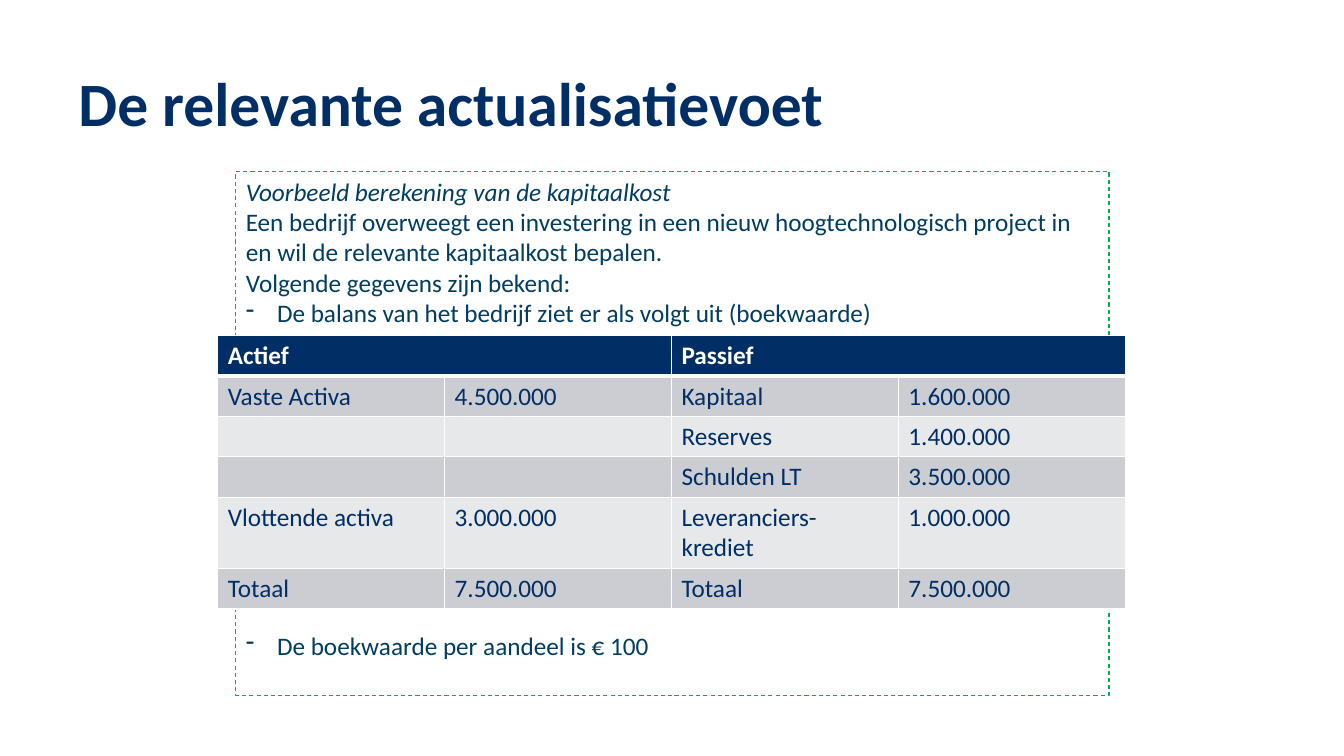
from lxml import etree
from pptx import Presentation
from pptx.dml.color import RGBColor
from pptx.enum.dml import MSO_LINE
from pptx.enum.shapes import MSO_SHAPE
from pptx.enum.text import MSO_ANCHOR, PP_ALIGN
from pptx.oxml.ns import qn
from pptx.util import Inches, Pt

RECTANGLE = MSO_SHAPE.RECTANGLE
DASH = MSO_LINE.DASH
TOP = MSO_ANCHOR.TOP
LEFT = PP_ALIGN.LEFT

NAVY, TEAL, GREEN, WHITE = "002E65", "003D62", "00B050", "FFFFFF"
BANDS = ["CCCDD3", "E7E8EA"]
COLUMN_WIDTH, ROW_HEIGHT, TALL_ROW_HEIGHT = 2.25, 0.4, 0.71
BULLET_INDENT = 0.31
TABLE_GAP = 216
LINE_PITCH = 21.6

TITLE = "De relevante actualisatievoet"
EXAMPLE = [
    ("Voorbeeld berekening van de kapitaalkost", {"italic": True}, False, 0),
    ("Een bedrijf overweegt een investering in een nieuw hoogtechnologisch project in "
     "en wil de relevante kapitaalkost bepalen.", {}, False, 0),
    ("Volgende gegevens zijn bekend:", {}, False, 0),
    ("De balans van het bedrijf ziet er als volgt uit (boekwaarde)", {}, True, 0),
    ("De boekwaarde per aandeel is € 100", {}, True, TABLE_GAP),
]
BALANCE = [
    ["Actief", "", "Passief", ""],
    ["Vaste Activa", "4.500.000", "Kapitaal", "1.600.000"],
    ["", "", "Reserves", "1.400.000"],
    ["", "", "Schulden LT", "3.500.000"],
    ["Vlottende activa", "3.000.000", "Leveranciers-krediet", "1.000.000"],
    ["Totaal", "7.500.000", "Totaal", "7.500.000"],
]
TALL_ROW = 4


def color(value):
    return RGBColor.from_string(value)


def inches(*lengths):
    return [Inches(length) for length in lengths]


def write(para, text, size, hue, **formats):
    span = para.add_run()
    span.text = text
    span.font.color.rgb = color(hue)
    for name, value in {"name": "Calibri", "size": Pt(size), **formats}.items():
        setattr(span.font, name, value)


def add_dash_bullet(para):
    props = para._p.get_or_add_pPr()
    indent = Inches(BULLET_INDENT)
    props.set("marL", str(indent))
    props.set("indent", str(-indent))
    bullet_color = etree.SubElement(props, qn("a:buClr"))
    etree.SubElement(bullet_color, qn("a:srgbClr"), val=TEAL)
    etree.SubElement(props, qn("a:buFontTx"))
    etree.SubElement(props, qn("a:buChar"), char="-")


def add_title(page):
    box = page.shapes.add_textbox(*inches(0.68, 0.68, 11.96, 1.17))
    box.text_frame.word_wrap = True
    para = box.text_frame.paragraphs[0]
    para.line_spacing = 0.9
    write(para, TITLE, 44, NAVY, bold=True)


def add_example(page):
    box = page.shapes.add_shape(RECTANGLE, *inches(2.34, 1.7, 8.66, 5.2))
    box.shadow.inherit = False
    box.fill.background()
    box.line.color.rgb = color(GREEN)
    box.line.width = Pt(0)
    box.line.dash_style = DASH
    frame = box.text_frame
    frame.word_wrap = True
    frame.vertical_anchor = TOP
    for index, (text, formats, bulleted, gap) in enumerate(EXAMPLE):
        para = frame.add_paragraph() if index else frame.paragraphs[0]
        settings = {"alignment": LEFT, "line_spacing": Pt(LINE_PITCH), "space_before": Pt(gap)}
        for name, value in settings.items():
            setattr(para, name, value)
        if bulleted:
            add_dash_bullet(para)
        write(para, text, 18, TEAL, **formats)


def set_borders(cell, widths):
    props = cell._tc.get_or_add_tcPr()
    for index, (side, width) in enumerate(widths.items()):
        line = etree.Element(qn(f"a:ln{side}"), w=str(Pt(width)))
        fill = etree.SubElement(line, qn("a:solidFill"))
        etree.SubElement(fill, qn("a:srgbClr"), val=WHITE)
        props.insert(index, line)


def add_balance(page):
    row_count, column_count = len(BALANCE), len(BALANCE[0])
    heights = [TALL_ROW_HEIGHT if row == TALL_ROW else ROW_HEIGHT for row in range(row_count)]
    place = inches(2.16, 3.33, COLUMN_WIDTH * column_count, sum(heights))
    table = page.shapes.add_table(row_count, column_count, *place).table
    for row, height in zip(table.rows, heights):
        row.height = Inches(height)
    for row, texts in enumerate(BALANCE):
        header = row == 0
        for column, text in enumerate(texts):
            cell = table.cell(row, column)
            cell.fill.solid()
            cell.fill.fore_color.rgb = color(NAVY if header else BANDS[(row - 1) % 2])
            set_borders(cell, {"L": 0.96, "R": 0.96, "T": 3 if row == 1 else 0.96,
                               "B": 3 if header else 0.96})
            if text:
                para = cell.text_frame.paragraphs[0]
                write(para, text, 18, WHITE if header else NAVY, bold=header)
    for column in range(0, column_count, 2):
        table.cell(0, column).merge(table.cell(0, column + 1))


def main():
    deck = Presentation()
    deck.slide_width, deck.slide_height = inches(13.33, 7.5)
    page = deck.slides.add_slide(deck.slide_layouts[6])
    add_title(page)
    add_example(page)
    add_balance(page)
    deck.save("out.pptx")


if __name__ == "__main__":
    main()
